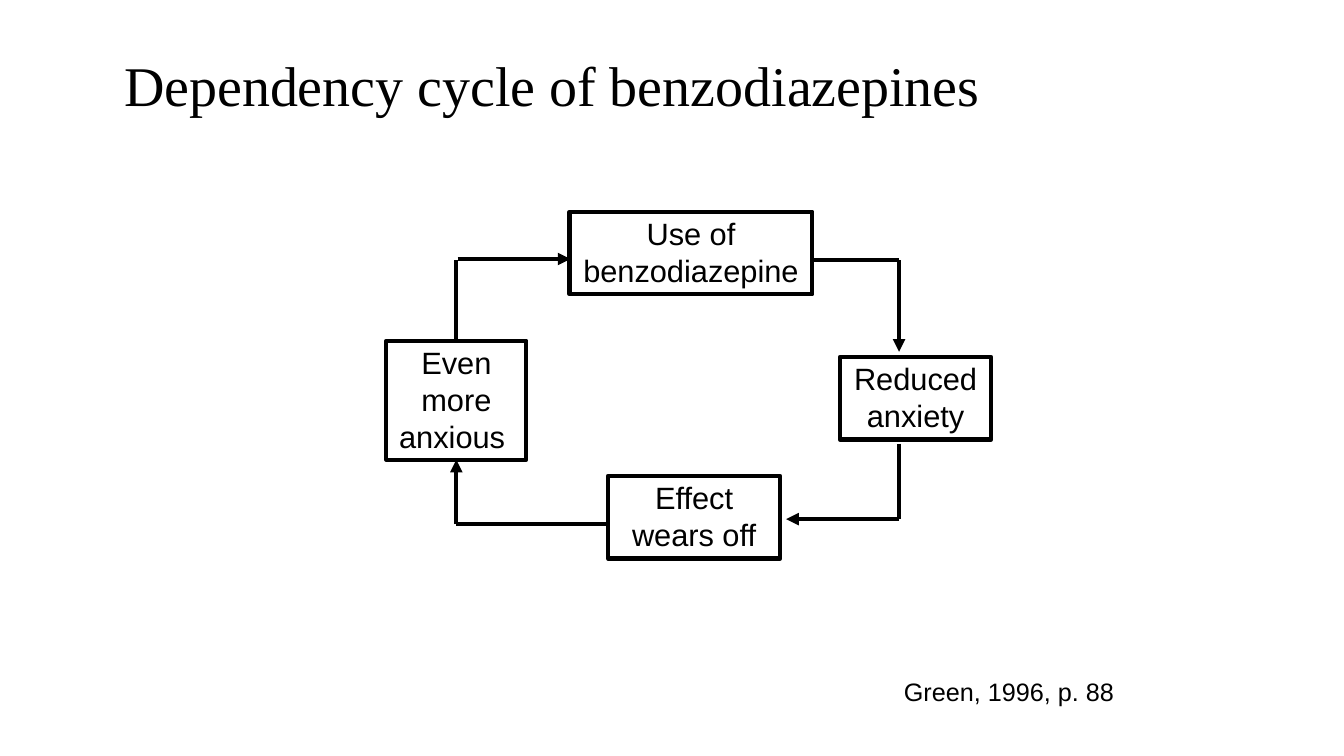
from lxml.etree import SubElement
from pptx import Presentation
from pptx.dml.color import RGBColor
from pptx.enum.shapes import MSO_CONNECTOR, MSO_SHAPE
from pptx.enum.text import MSO_ANCHOR, PP_ALIGN
from pptx.oxml.ns import qn
from pptx.util import Pt

BLACK = "000000"
TOP, BOTTOM = 0, 2


def color(hex_string):
    return RGBColor.from_string(hex_string)


def add_text(paragraph, text, font_name, size):
    run = paragraph.add_run()
    run.text = text
    run.font.name = font_name
    run.font.size = Pt(size)
    run.font.color.rgb = color(BLACK)


presentation = Presentation()
presentation.slide_width = Pt(960)
presentation.slide_height = Pt(540)
slide = presentation.slides.add_slide(presentation.slide_layouts[5])

# Title
title = slide.shapes.title
title.left, title.top, title.width, title.height = Pt(81.4), Pt(18), Pt(791.3), Pt(90)
title.text_frame.vertical_anchor = MSO_ANCHOR.MIDDLE
paragraph = title.text_frame.paragraphs[0]
paragraph.alignment = PP_ALIGN.LEFT
paragraph.line_spacing = 0.9
add_text(paragraph, "Dependency cycle of benzodiazepines", "Times New Roman", 40)

# Citation
citation = slide.shapes.add_textbox(Pt(638.6), Pt(479.5), Pt(170), Pt(28.8))
citation.text_frame.word_wrap = True
add_text(citation.text_frame.paragraphs[0], "Green, 1996, p. 88", "Arial", 18)

# Stages of the cycle
stages = [
    ("Use of benzodiazepine", 406.8, 151.2, 173.5, 59),
    ("Reduced anxiety", 600, 255, 108, 59),
    ("Effect wears off", 434.3, 340, 123, 59),
    ("Even more anxious ", 276, 243.4, 100, 85),
]
boxes = []
for text, left, top, width, height in stages:
    box = slide.shapes.add_shape(
        MSO_SHAPE.RECTANGLE, Pt(left), Pt(top), Pt(width), Pt(height))
    box.shadow.inherit = False
    box.fill.background()
    box.line.color.rgb = color(BLACK)
    box.line.width = Pt(3)
    frame = box.text_frame
    frame.word_wrap = True
    frame.vertical_anchor = MSO_ANCHOR.TOP
    frame.margin_left = frame.margin_right = Pt(5)
    frame.margin_top = frame.margin_bottom = Pt(2.2)
    frame.paragraphs[0].alignment = PP_ALIGN.CENTER
    add_text(frame.paragraphs[0], text, "Arial", 22)
    boxes.append(box)
use, reduced, effect, anxious = boxes

# Lines: start x, start y, end x, end y, arrowhead, joined start, joined end
right_x, left_x = 642.2, 326
links = [
    (580.3, 185.8, right_x, 185.8, False, None, None),
    (right_x, 185.8, right_x, 251.3, True, None, None),
    (right_x, 316.8, right_x, 370.8, False, None, None),
    (right_x, 370.8, 561.6, 370.8, True, None, None),
    (434.3, 374.4, left_x, 374.4, False, None, None),
    (left_x, 374.4, left_x, 328.4, True, None, (anxious, BOTTOM)),
    (left_x, 243.4, left_x, 185.8, False, (anxious, TOP), None),
    (326.9, 185, 407.5, 185, True, None, None),
]
for start_x, start_y, end_x, end_y, has_arrow, start, end in links:
    connector = slide.shapes.add_connector(
        MSO_CONNECTOR.STRAIGHT, Pt(start_x), Pt(start_y), Pt(end_x), Pt(end_y))
    if start:
        connector.begin_connect(*start)
    if end:
        connector.end_connect(*end)
    connector.line.color.rgb = color(BLACK)
    connector.line.width = Pt(3)
    if has_arrow:
        SubElement(connector.line._get_or_add_ln(), qn("a:tailEnd"), type="triangle")
    SubElement(connector._element.spPr, qn("a:effectLst"))

presentation.save("out.pptx")
